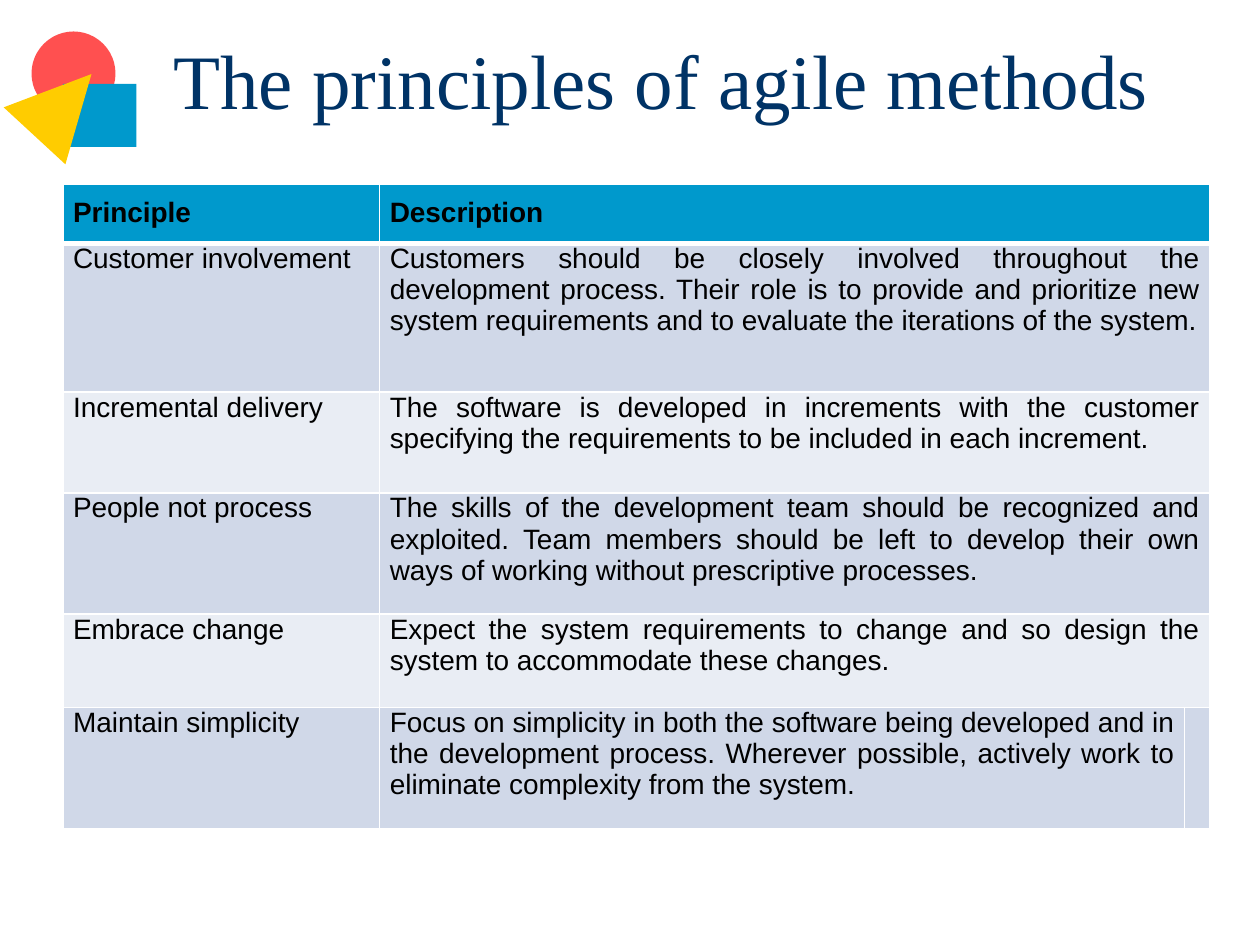
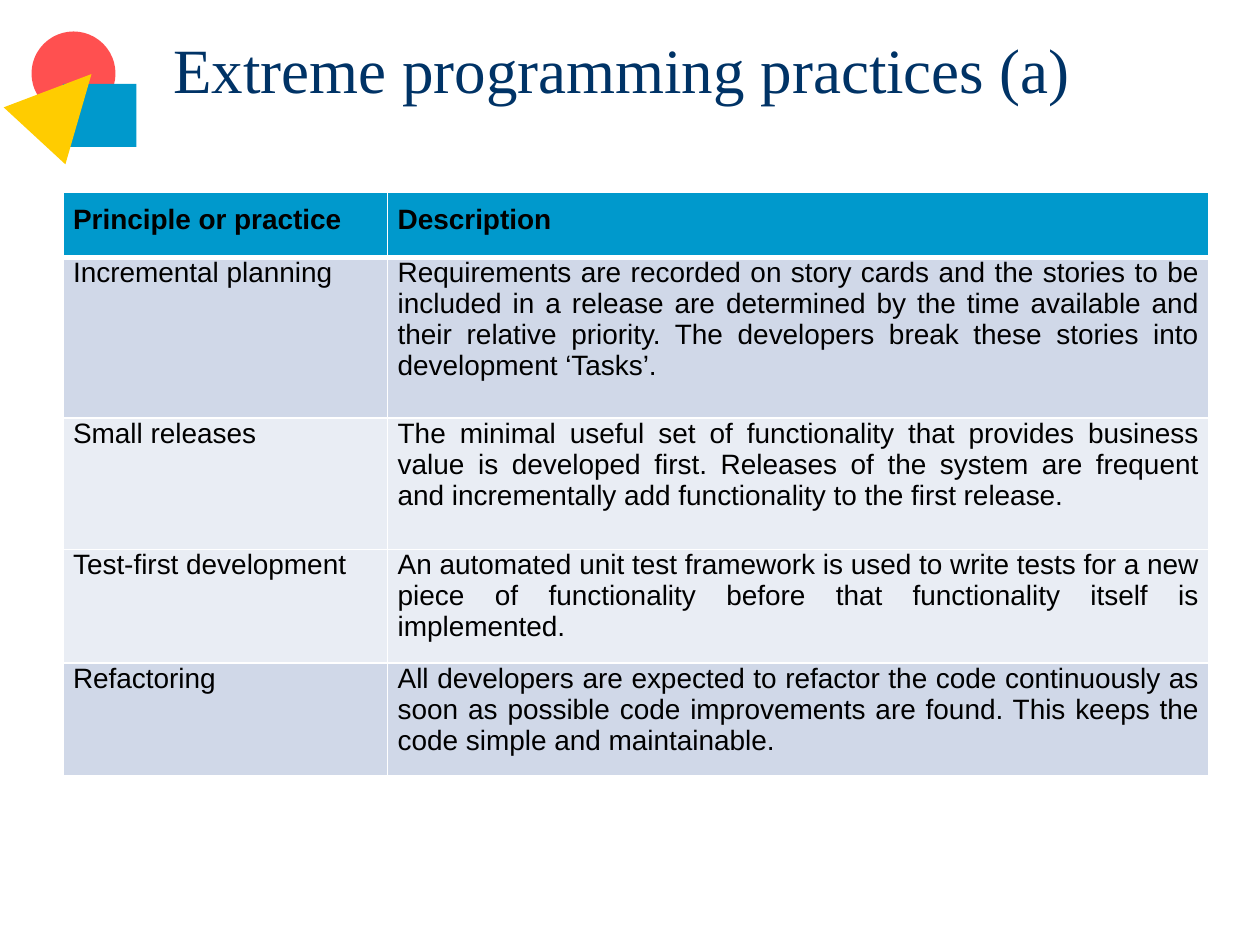
from dataclasses import dataclass

from lxml.etree import SubElement
from pptx import Presentation
from pptx.dml.color import RGBColor
from pptx.enum.shapes import MSO_SHAPE as Shape
from pptx.enum.text import MSO_ANCHOR as Anchor, PP_ALIGN as Align
from pptx.oxml.ns import qn
from pptx.util import Pt


@dataclass(frozen=True)
class Theme:
    red: str = "FF5050"
    blue: str = "0099CC"
    gold: str = "FFCC00"
    navy: str = "003366"
    black: str = "000000"
    white: str = "FFFFFF"
    dark: str = "D0D8E8"
    light: str = "E9EDF4"
    serif: str = "Times New Roman"
    sans: str = "Arial"
    body: int = 16
    thin: int = 1
    thick: int = 3


T = Theme()
rgb = RGBColor.from_string

AGILE = [
    ("Principle", "Description"),
    ("Customer involvement",
     "Customers should be closely involved throughout the development process. "
     "Their role is to provide and prioritize new system requirements and to "
     "evaluate the iterations of the system."),
    ("Incremental delivery",
     "The software is developed in increments with the customer specifying the "
     "requirements to be included in each increment."),
    ("People not process",
     "The skills of the development team should be recognized and exploited. "
     "Team members should be left to develop their own ways of working without "
     "prescriptive processes."),
    ("Embrace change",
     "Expect the system requirements to change and so design the system to "
     "accommodate these changes."),
    ("Maintain simplicity",
     "Focus on simplicity in both the software being developed and in the "
     "development process. Wherever possible, actively work to eliminate "
     "complexity from the system.", ""),
]

EXTREME = [
    ("Principle or practice", "Description"),
    ("Incremental planning",
     "Requirements are recorded on story cards and the stories to be included "
     "in a release are determined by the time available and their relative "
     "priority. The developers break these stories into development ‘Tasks’."),
    ("Small releases",
     "The minimal useful set of functionality that provides business value is "
     "developed first. Releases of the system are frequent and incrementally "
     "add functionality to the first release."),
    ("Test-first development",
     "An automated unit test framework is used to write tests for a new piece "
     "of functionality before that functionality itself is implemented."),
    ("Refactoring",
     "All developers are expected to refactor the code continuously as soon as "
     "possible code improvements are found. This keeps the code simple and "
     "maintainable."),
]


def write(frame, text, *, size=T.body, face=T.sans, color=T.black,
          bold=False, align=Align.LEFT):
    para = frame.paragraphs[0]
    para.alignment = align
    run = para.add_run()
    run.text = text
    font = run.font
    font.size, font.name, font.bold = Pt(size), face, bold
    font.color.rgb = rgb(color)


def add_mark(slide, left, top):
    """Draw the circle, square and triangle in the corner."""
    parts = [
        (Shape.OVAL, 6, 0, 48, 48, 0, T.red),
        (Shape.RECTANGLE, 24, 30, 42, 36, 0, T.blue),
        (Shape.ISOSCELES_TRIANGLE, 0, 18, 48, 48, 42.7, T.gold),
    ]
    for kind, x, y, wide, high, turn, color in parts:
        part = slide.shapes.add_shape(
            kind, Pt(left + x), Pt(top + y), Pt(wide), Pt(high))
        part.rotation = turn
        part.shadow.inherit = False
        part.fill.solid()
        part.fill.fore_color.rgb = rgb(color)
        part.line.fill.background()


def add_title(slide, text, top, size):
    box = slide.shapes.add_textbox(Pt(92), Pt(top), Pt(612), Pt(90))
    frame = box.text_frame
    frame.word_wrap = True
    frame.vertical_anchor = Anchor.MIDDLE
    write(frame, text, size=size, face=T.serif, color=T.navy)


def edge(cell, over, under):
    """Rule all four sides; over and under are the top and bottom widths."""
    props = cell._tc.get_or_add_tcPr()
    sides = zip("LRTB", (T.thin, T.thin, over, under))
    for spot, (side, width) in enumerate(sides):
        line = SubElement(props, qn(f"a:ln{side}"), w=str(Pt(width)))
        fill = SubElement(line, qn("a:solidFill"))
        SubElement(fill, qn("a:srgbClr"), val=T.white)
        props.insert(spot, line)


def style(cell, row, tint):
    cell.margin_left = cell.margin_right = Pt(5.76)
    cell.margin_top = Pt(0 if row else 7.2)
    cell.margin_bottom = Pt(7.2)
    cell.fill.solid()
    cell.fill.fore_color.rgb = rgb(tint)
    edge(cell, T.thick if row == 1 else T.thin, T.thin if row else T.thick)


def add_grid(slide, data, top, cols, rows, tints):
    """Place the table; a short row spans its last text to the right edge."""
    grid = slide.shapes.add_table(
        len(rows), len(cols), Pt(36), Pt(top),
        Pt(sum(cols)), Pt(sum(rows))).table
    grid.first_row = grid.horz_banding = False
    for col, width in zip(grid.columns, cols):
        col.width = Pt(width)
    for row, (texts, high, tint) in enumerate(zip(data, rows, tints)):
        grid.rows[row].height = Pt(high)
        for col in range(len(cols)):
            style(grid.cell(row, col), row, tint)
        last = len(texts) - 1
        if last < len(cols) - 1:
            grid.cell(row, last).merge(grid.cell(row, len(cols) - 1))
        for col, text in enumerate(texts):
            if text:
                write(grid.cell(row, col).text_frame, text,
                      bold=row == 0, align=Align.JUSTIFY)


def add_page(deck, title, lift, size, **table):
    slide = deck.slides.add_slide(deck.slide_layouts[6])
    add_mark(slide, 12, 18)
    add_title(slide, title, lift, size)
    add_grid(slide, **table)


def main():
    deck = Presentation()
    deck.slide_width, deck.slide_height = Pt(720), Pt(540)
    add_page(deck, "The principles of agile methods", 0, 44,
             data=AGILE, top=105.4, cols=(181, 460, 10),
             rows=(31.5, 85, 57.6, 69.2, 53.5, 69.2),
             tints=(T.blue, T.dark, T.light, T.dark, T.light, T.dark))
    add_page(deck, "Extreme programming practices (a)", -6, 36,
             data=EXTREME, top=109.8, cols=(185.5, 469.5),
             rows=(37.2, 92, 75, 60.5, 60.5),
             tints=(T.blue, T.dark, T.light, T.light, T.dark))
    deck.save("out.pptx")


if __name__ == "__main__":
    main()
